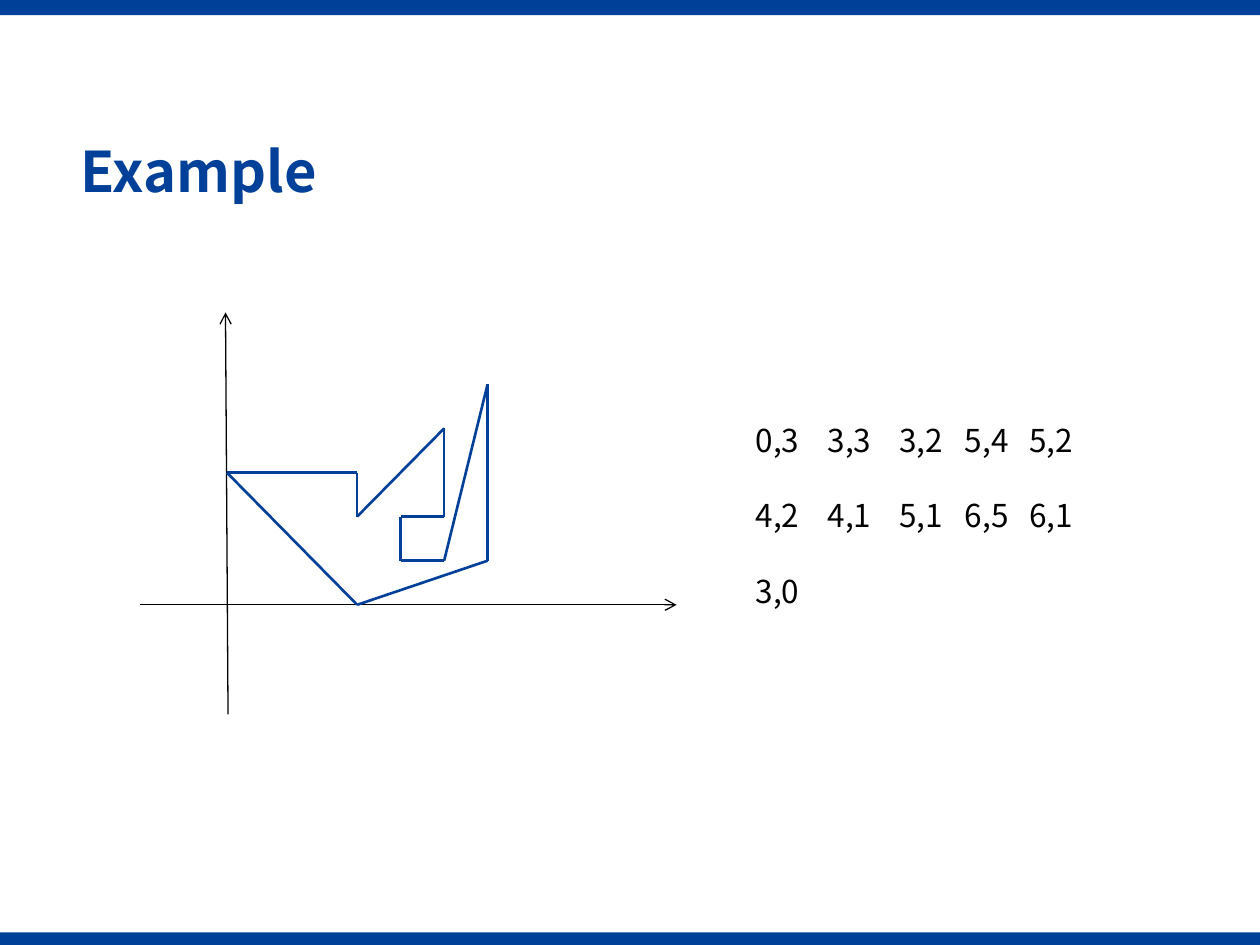
from typing import NamedTuple

from pptx import Presentation
from pptx.dml.color import RGBColor
from pptx.enum.shapes import MSO_CONNECTOR, MSO_SHAPE
from pptx.enum.text import MSO_ANCHOR, PP_ALIGN
from pptx.oxml.ns import qn
from pptx.util import Inches, Pt
from lxml.etree import SubElement

COLORS = {"blue": "004098", "black": "000000"}
FONT = "Noto Sans CJK SC"

ORIGIN = (1.8, 4.8)
UNIT = (0.345, 0.35)

# Polygon corners, in the rows in which they are listed
CORNER_ROWS = [
    [(0, 3), (3, 3), (3, 2), (5, 4), (5, 2)],
    [(4, 2), (4, 1), (5, 1), (6, 5), (6, 1)],
    [(3, 0)],
]
# Grid points that split the edge starting at a corner
SPLITS = {(0, 3): [(1, 3), (2, 3)], (6, 5): [(6, 4)]}
TAB_STOPS = [0.57, 1.14, 1.66, 2.17]


class Bar(NamedTuple):
    top: float
    height: float


class Segment(NamedTuple):
    start: tuple[float, float]
    end: tuple[float, float]
    color: str
    width: float
    arrow: bool = False


BARS = [Bar(7.4, 0.1), Bar(0, 0.12)]
AXES = [
    Segment((1.11, 4.8), (5.37, 4.8), "black", 0.75, True),
    Segment((1.81, 5.67), (1.79, 2.48), "black", 0.75, True),
]


def rgb(name: str) -> RGBColor:
    return RGBColor.from_string(COLORS[name])


def format_font(font, color: str, **values) -> None:
    for name, value in {"name": FONT, **values}.items():
        setattr(font, name, value)
    font.color.rgb = rgb(color)


def draw_bar(page, bar: Bar) -> None:
    shape = page.shapes.add_shape(MSO_SHAPE.RECTANGLE, 0, Inches(bar.top),
                                  Inches(10), Inches(bar.height))
    shape.shadow.inherit = False
    shape.fill.solid()
    shape.fill.fore_color.rgb = rgb("blue")
    shape.line.fill.background()


def draw_segment(page, segment: Segment) -> None:
    ends = [Inches(value) for value in (*segment.start, *segment.end)]
    connector = page.shapes.add_connector(MSO_CONNECTOR.STRAIGHT, *ends)
    connector.line.color.rgb = rgb(segment.color)
    connector.line.width = Pt(segment.width)
    properties = connector._element.spPr
    if segment.arrow:
        SubElement(properties.find(qn("a:ln")), qn("a:tailEnd"), type="arrow")
    SubElement(properties, qn("a:effectLst"))


def place(point: tuple[int, int]) -> tuple[float, float]:
    return ORIGIN[0] + UNIT[0] * point[0], ORIGIN[1] - UNIT[1] * point[1]


def draw_polygon(page) -> None:
    corners = [corner for row in CORNER_ROWS for corner in row]
    points = [point for corner in corners
              for point in (corner, *SPLITS.get(corner, []))]
    for start, end in zip(points, points[1:] + points[:1]):
        draw_segment(page, Segment(place(start), place(end), "blue", 1.5))


def write_corners(page) -> None:
    box = page.shapes.add_textbox(Inches(5.9), Inches(3.29), Inches(2.88), Inches(1.62))
    frame = box.text_frame
    frame.word_wrap = True
    for index, row in enumerate(CORNER_ROWS):
        para = frame.add_paragraph() if index else frame.paragraphs[0]
        para.space_after = Pt(21.6)
        tabs = SubElement(para._p.get_or_add_pPr(), qn("a:tabLst"))
        for stop in TAB_STOPS:
            SubElement(tabs, qn("a:tab"), pos=str(Inches(stop)), algn="l")
        span = para.add_run()
        span.text = "\t".join(f"{x},{y}" for x, y in row)
        format_font(span.font, "black", size=Pt(18))


def write_title(page) -> None:
    title = page.shapes.title
    frame_values = {"left": 0.54, "top": 1.07, "width": 9.16, "height": 0.63}
    for name, value in frame_values.items():
        setattr(title, name, Inches(value))
    title.text_frame.vertical_anchor = MSO_ANCHOR.MIDDLE
    para = title.text_frame.paragraphs[0]
    para.alignment = PP_ALIGN.LEFT
    para.line_spacing = 0.9
    span = para.add_run()
    span.text = "Example"
    format_font(span.font, "blue", size=Pt(32), bold=True)


def main() -> None:
    deck = Presentation()
    deck.slide_width, deck.slide_height = Inches(10), Inches(7.5)
    page = deck.slides.add_slide(deck.slide_layouts[5])

    # Frame and title
    for bar in BARS:
        draw_bar(page, bar)
    write_title(page)

    # Axes, polygon and its corner list
    for axis in AXES:
        draw_segment(page, axis)
    draw_polygon(page)
    write_corners(page)

    deck.save("out.pptx")


if __name__ == "__main__":
    main()
